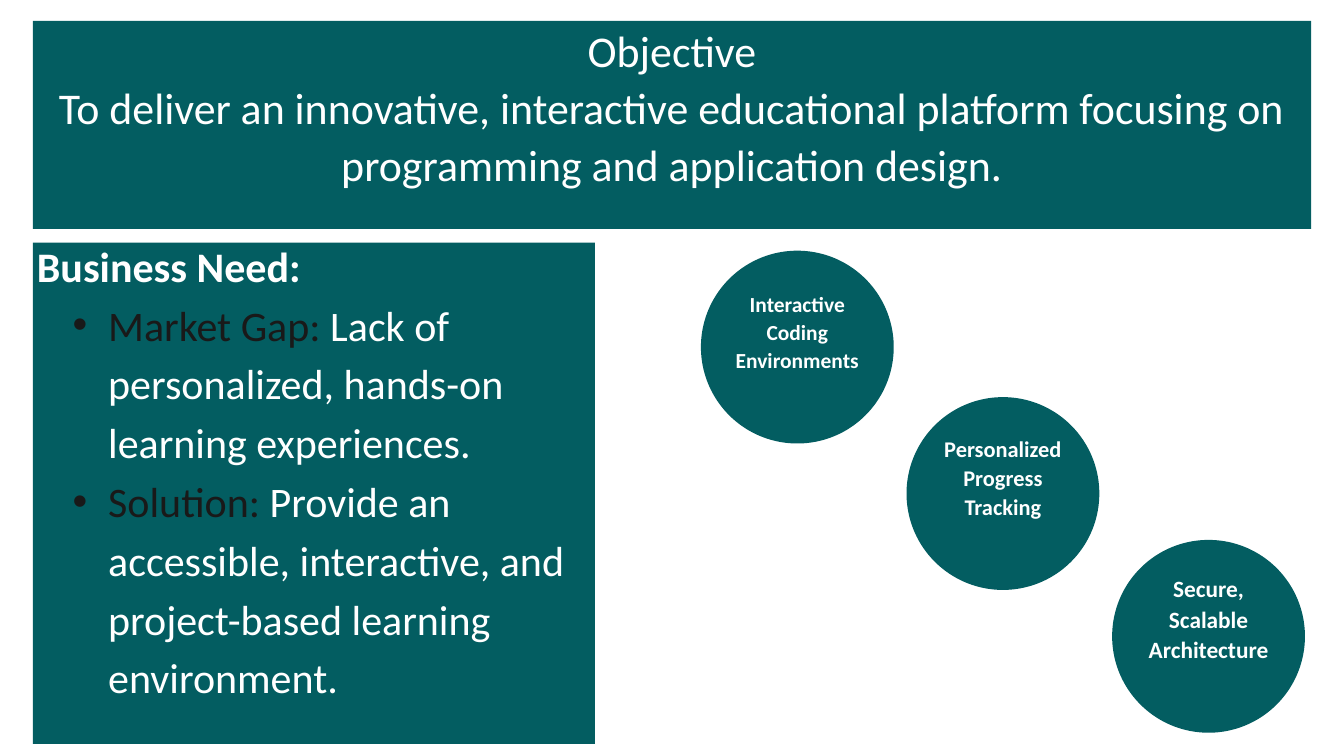
"""Build the objective slide with its business need and platform features."""
from lxml import etree
from pptx import Presentation
from pptx import util as u
from pptx.dml.color import RGBColor
from pptx.enum import shapes, text
from pptx.oxml import ns

TEAL = RGBColor(0x03, 0x5D, 0x61)
WHITE = RGBColor(0xFF, 0xFF, 0xFF)
DARK = RGBColor(0x19, 0x19, 0x19)
FONT = "Calibri"
INSET = 4.32
INDENT = 38.16

NEEDS = [
    ("Market Gap: ", "Lack of personalized, hands-on learning experiences."),
    ("Solution:", " Provide an accessible, interactive, and project-based learning environment."),
]
FEATURES = [
    ("Interactive Coding Environments", 23, 29.9, 35, 268.6),
    ("Personalized Progress Tracking", 24, 31.2, 36, 425.5),
    ("Secure, Scalable Architecture", 25, 32.5, 40, 578.5),
]


def add_filled_shape(slide, kind, left, top, width, height):
    """Add a flat teal shape without outline."""
    shape = slide.shapes.add_shape(kind, u.Pt(left), u.Pt(top), u.Pt(width), u.Pt(height))
    shape.shadow.inherit = False
    shape.fill.solid()
    shape.fill.fore_color.rgb = TEAL
    shape.line.fill.background()
    return shape


def prepare_frame(shape, inset, bottom):
    """Set wrapping, middle anchor and insets, and return the text frame."""
    frame = shape.text_frame
    frame.word_wrap = True
    frame.auto_size = text.MSO_AUTO_SIZE.NONE
    frame.vertical_anchor = text.MSO_ANCHOR.MIDDLE
    frame.margin_left = frame.margin_right = frame.margin_top = u.Pt(inset)
    frame.margin_bottom = u.Pt(bottom)
    return frame


def write_paragraph(frame, index, runs, size, spacing, align, bold=False, bullet=None):
    """Write one paragraph from (wording, colour) runs."""
    paragraph = frame.paragraphs[0] if index == 0 else frame.add_paragraph()
    properties = paragraph._p.get_or_add_pPr()
    properties.set("marL", str(u.Pt(2 * INDENT if bullet else 0)))
    properties.set("indent", str(u.Pt(-INDENT if bullet else 0)))
    if bullet:
        etree.SubElement(properties, ns.qn("a:buFont"), typeface="Arial")
        etree.SubElement(properties, ns.qn("a:buChar"), char=bullet)
    else:
        etree.SubElement(properties, ns.qn("a:buNone"))
    paragraph.alignment = align
    paragraph.line_spacing = u.Pt(spacing)
    paragraph.space_before = paragraph.space_after = u.Pt(0)
    for wording, colour in runs:
        run = paragraph.add_run()
        run.text = wording
        run.font.name = FONT
        run.font.size = u.Pt(size)
        run.font.bold = bold
        run.font.color.rgb = colour


def place_on_panel(slide, placeholder, left, top, width, height, rise, bottom):
    """Put a placeholder over a panel, starting above it by the rise."""
    add_filled_shape(slide, shapes.MSO_SHAPE.RECTANGLE, left, top, width, height)
    placeholder.left, placeholder.top = u.Pt(left), u.Pt(top - rise)
    placeholder.width, placeholder.height = u.Pt(width), u.Pt(height + rise)
    slide.shapes._spTree.append(placeholder._element)
    return prepare_frame(placeholder, INSET, bottom)


def add_objective(slide, left, top, width, height):
    """Fill the objective banner."""
    frame = place_on_panel(slide, slide.shapes.title, left, top, width, height, 13.7, 32.9)
    lines = [
        "Objective",
        "To deliver an innovative, interactive educational platform focusing on "
        "programming and application design.",
    ]
    for index, line in enumerate(lines):
        write_paragraph(frame, index, [(line, WHITE)], 47, 61.1, text.PP_ALIGN.CENTER)


def add_business_need(slide, left, top, width, height):
    """Fill the business need panel with its heading and bullets."""
    frame = place_on_panel(slide, slide.placeholders[1], left, top, width, height, 25.2, 35.1)
    align = text.PP_ALIGN.LEFT
    write_paragraph(frame, 0, [("Business Need:", WHITE)], 45, 63, align, bold=True)
    for index, (label, detail) in enumerate(NEEDS, start=1):
        write_paragraph(frame, index, [(label, DARK), (detail, WHITE)], 45, 63, align, bullet="•")


def add_features(slide, left, diameter, step):
    """Add the descending row of feature circles."""
    for index, (wording, size, spacing, bottom, top) in enumerate(FEATURES):
        circle = add_filled_shape(
            slide, shapes.MSO_SHAPE.OVAL, left + index * step, top, diameter, diameter)
        frame = prepare_frame(circle, 0, bottom)
        write_paragraph(
            frame, 0, [(wording, WHITE)], size, spacing, text.PP_ALIGN.CENTER, bold=True)


def main():
    """Create and save the presentation."""
    presentation = Presentation()
    presentation.slide_width, presentation.slide_height = u.Pt(1440), u.Pt(810)
    slide = presentation.slides.add_slide(presentation.slide_layouts[1])
    add_objective(slide, 35.3, 22.5, 1369.5, 222.8)
    add_business_need(slide, 35.3, 260, 602, 537)
    add_features(slide, 751, 206.6, 220.3)
    presentation.save("out.pptx")


if __name__ == "__main__":
    main()
